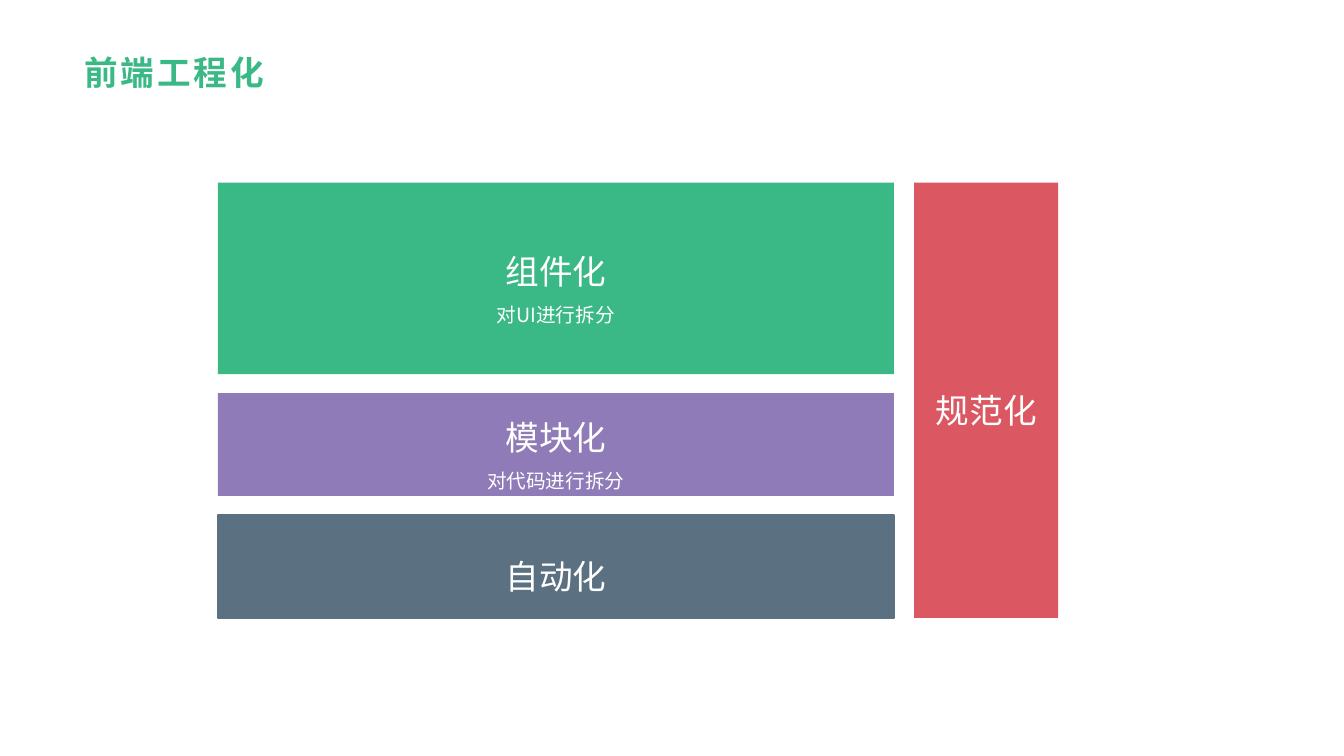
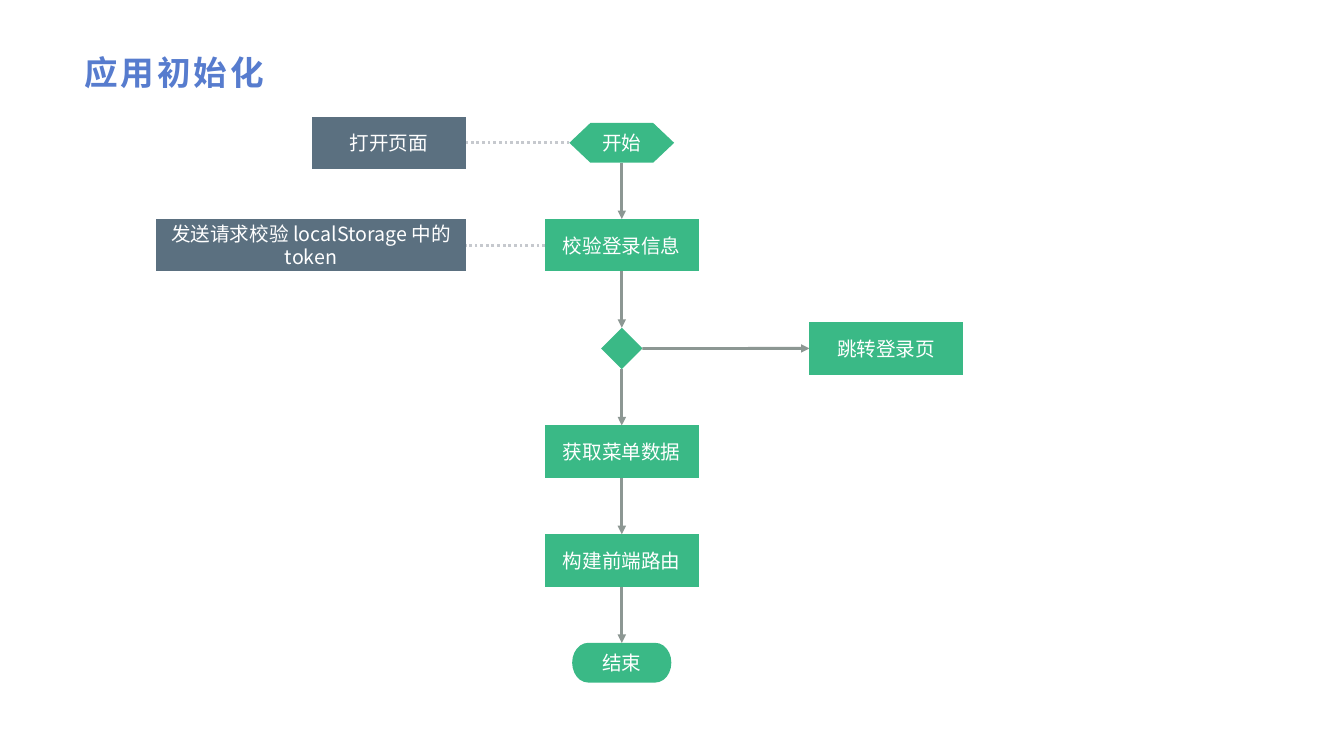
from dataclasses import dataclass

from lxml import etree
from pptx import Presentation
from pptx.dml.color import RGBColor
from pptx.enum.dml import MSO_LINE
from pptx.enum.shapes import MSO_CONNECTOR, MSO_SHAPE
from pptx.enum.text import MSO_ANCHOR, PP_ALIGN
from pptx.oxml.ns import qn
from pptx.util import Cm, Pt

RECTANGLE = MSO_SHAPE.RECTANGLE
PROCESS = MSO_SHAPE.FLOWCHART_PROCESS
PREPARATION = MSO_SHAPE.FLOWCHART_PREPARATION
DECISION = MSO_SHAPE.FLOWCHART_DECISION
TERMINATOR = MSO_SHAPE.FLOWCHART_TERMINATOR
STRAIGHT = MSO_CONNECTOR.STRAIGHT
CURVE = MSO_CONNECTOR.CURVE
DOTTED = MSO_LINE.ROUND_DOT
MIDDLE = MSO_ANCHOR.MIDDLE
CENTER = PP_ALIGN.CENTER
TOP, LEFT, BOTTOM, RIGHT = range(4)


@dataclass(frozen=True)
class Theme:
    green: str = "3AB986"
    blue: str = "577CCE"
    red: str = "DB5762"
    purple: str = "8F7BB8"
    slate: str = "5B7080"
    arrow: str = "8C9793"
    dots: str = "C6C9CE"
    white: str = "FFFFFF"
    title_font: str = "Arial"
    body_font: str = "Noto Sans CJK SC"
    large: int = 24
    small: int = 14
    line: int = 2


class SlideBuilder:
    def __init__(self, deck, theme):
        self.deck = deck
        self.theme = theme
        self.page = None

    def start_page(self, title, color):
        self.page = self.deck.slides.add_slide(self.deck.slide_layouts[6])
        box = self.page.shapes.add_textbox(Cm(1.85), Cm(1.2), Cm(30.15), Cm(1.22))
        frame = box.text_frame
        frame.word_wrap = True
        frame.vertical_anchor = MIDDLE
        frame.margin_left, frame.margin_right = Cm(0.28), Cm(0.2)
        frame.margin_top = frame.margin_bottom = Cm(0.1)
        frame.text = title
        span = frame.paragraphs[0].runs[0]
        self.style(span, self.theme.large, color, self.theme.title_font)
        span.font.bold = True
        span.font._element.set("spc", "200")

    def style(self, span, size, color, font):
        span.font.size = Pt(size)
        span.font.color.rgb = RGBColor.from_string(color)
        span.font.name = font
        east_asian = etree.SubElement(span.font._element, qn("a:ea"))
        east_asian.set("typeface", self.theme.body_font)

    def block(self, kind, left, top, width, height, fill, text="", sizes=(), spacing=None, outlined=False):
        box = self.page.shapes.add_shape(kind, Cm(left), Cm(top), Cm(width), Cm(height))
        box.shadow.inherit = False
        box.fill.solid()
        box.fill.fore_color.rgb = RGBColor.from_string(fill)
        if outlined:
            box.line.color.rgb = RGBColor.from_string(fill)
            box.line.width = Pt(1)
        else:
            box.line.fill.background()
        if text:
            box.text_frame.word_wrap = True
            box.text_frame.vertical_anchor = MIDDLE
            box.text_frame.text = text
            for para, size in zip(box.text_frame.paragraphs, sizes):
                para.alignment = CENTER
                para.line_spacing = spacing
                for span in para.runs:
                    self.style(span, size, self.theme.white, self.theme.body_font)
        return box

    def layer(self, left, top, width, height, fill, text, outlined=False):
        sizes = (self.theme.large, self.theme.small)
        return self.block(RECTANGLE, left, top, width, height, fill, text, sizes, 1.5, outlined)

    def node(self, kind, left, middle, width, height, fill, text):
        sizes = (self.theme.small,)
        return self.block(kind, left, middle - height / 2, width, height, fill, text, sizes)

    def connect(self, kind, source, source_side, target, target_side, color):
        line = self.page.shapes.add_connector(kind, 0, 0, 0, 0)
        line.begin_connect(source, source_side)
        line.end_connect(target, target_side)
        line.line.color.rgb = RGBColor.from_string(color)
        line.line.width = Pt(self.theme.line)
        etree.SubElement(line._element.spPr, qn("a:effectLst"))
        return line

    def arrow(self, source, source_side, target, target_side):
        line = self.connect(STRAIGHT, source, source_side, target, target_side, self.theme.arrow)
        head = etree.SubElement(line.line._get_or_add_ln(), qn("a:tailEnd"))
        head.set("type", "triangle")

    def dotted_link(self, source, target):
        line = self.connect(CURVE, source, LEFT, target, RIGHT, self.theme.dots)
        line.line.dash_style = DOTTED


def build_engineering(builder):
    theme = builder.theme
    builder.start_page("前端工程化", theme.green)
    left, top, width, gap = 5.49, 4.6, 17.04, 0.48
    layers = (
        ("组件化\n对UI进行拆分", 4.83, theme.green, False),
        ("模块化\n对代码进行拆分", 2.59, theme.purple, False),
        ("自动化", 2.59, theme.slate, True),
    )
    layer_top = top
    for text, height, fill, outlined in layers:
        builder.layer(left, layer_top, width, height, fill, text, outlined)
        layer_top += height + gap
    builder.layer(23.04, top, 3.63, layer_top - gap - top, theme.red, "规范化")


def build_startup(builder):
    theme = builder.theme
    builder.start_page("应用初始化", theme.blue)
    axis, top, gap = 15.67, 3.1, 1.42
    step_width, step_height = 3.87, 1.32
    steps = (
        (PREPARATION, "开始", 2.64, 1),
        (PROCESS, "校验登录信息", step_width, step_height),
        (DECISION, "", 1.04, 1.04),
        (PROCESS, "获取菜单数据", step_width, step_height),
        (PROCESS, "构建前端路由", step_width, step_height),
        (TERMINATOR, "结束", 2.5, 1),
    )
    nodes, middles = [], []
    for kind, text, width, height in steps:
        middle = top + height / 2
        nodes.append(builder.node(kind, axis - width / 2, middle, width, height, theme.green, text))
        middles.append(middle)
        top += height + gap
    for source, target in zip(nodes, nodes[1:]):
        builder.arrow(source, BOTTOM, target, TOP)

    login = builder.node(PROCESS, 20.4, middles[2], step_width, step_height, theme.green, "跳转登录页")
    builder.arrow(nodes[2], RIGHT, login, LEFT)

    notes_right = 11.74
    notes = (
        ("打开页面", step_width),
        ("发送请求校验 localStorage 中的 token", 7.8),
    )
    for (text, width), step, middle in zip(notes, nodes, middles):
        note = builder.node(PROCESS, notes_right - width, middle, width, step_height, theme.slate, text)
        builder.dotted_link(step, note)


deck = Presentation()
deck.slide_width, deck.slide_height = Cm(33.87), Cm(19.05)
builder = SlideBuilder(deck, Theme())
build_engineering(builder)
build_startup(builder)
deck.save("out.pptx")
